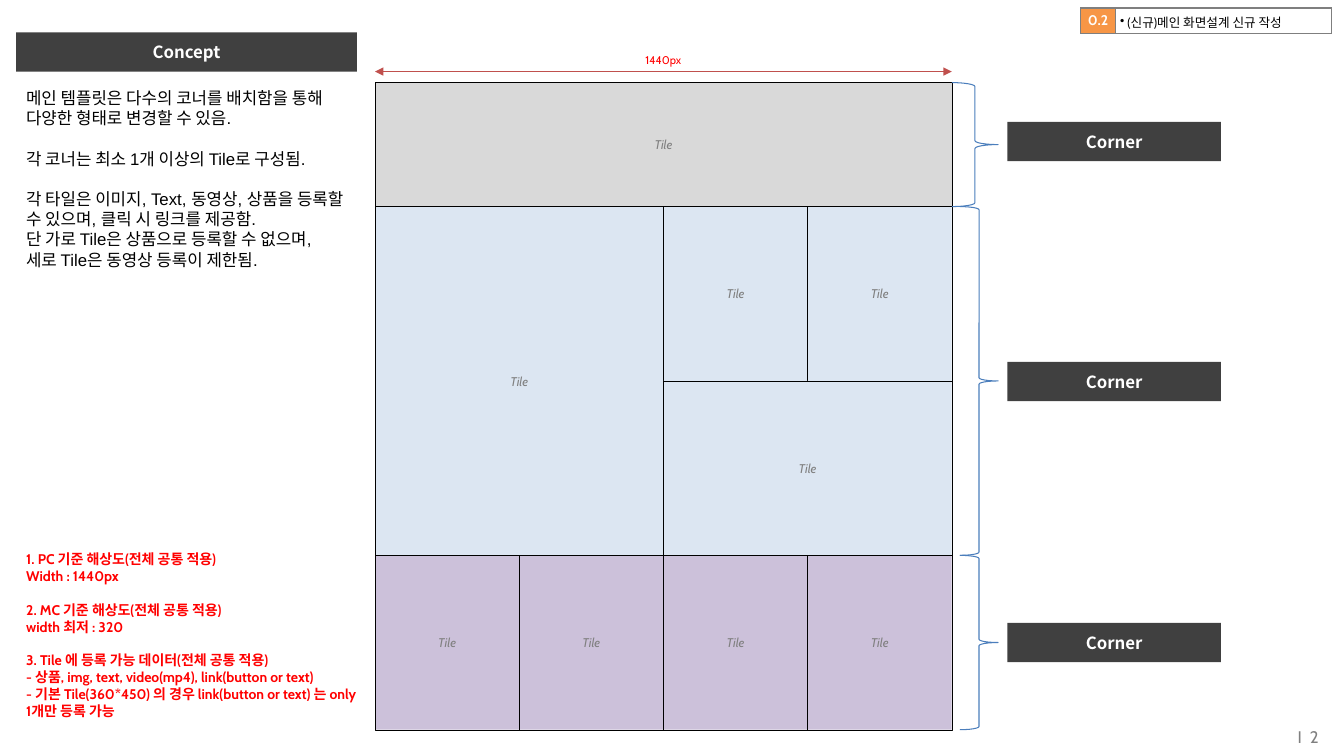
from dataclasses import dataclass

import pptx
import pptx.dml.color
import pptx.enum.shapes
import pptx.enum.text
import pptx.oxml
import pptx.oxml.ns
import pptx.util
from pptx.dml.color import RGBColor
from pptx.enum.shapes import MSO_SHAPE
from pptx.enum.text import MSO_ANCHOR, PP_ALIGN
from pptx.util import Inches

BLACK = RGBColor(0x00, 0x00, 0x00)
WHITE = RGBColor(0xFF, 0xFF, 0xFF)
RED = RGBColor(0xFF, 0x00, 0x00)
GRAY = RGBColor(0x80, 0x80, 0x80)
DARK = RGBColor(0x40, 0x40, 0x40)
LIGHT_GRAY = RGBColor(0xD9, 0xD9, 0xD9)
LIGHT_BLUE = RGBColor(0xDC, 0xE6, 0xF2)
LILAC = RGBColor(0xCC, 0xC1, 0xDA)
BRACE_BLUE = RGBColor(0x4B, 0x7E, 0xBC)
ARROW_RED = RGBColor(0xC0, 0x50, 0x4D)
ORANGE = RGBColor(0xF7, 0x96, 0x46)
BORDER = "7F7F7F"

GRID_LEFT = 3.72
COLUMN = 1.43
ROW_TOPS = [0.82, 2.05, 3.78, 5.51, 7.24]
GRID_RIGHT = GRID_LEFT + 4 * COLUMN
BRACE_RIGHT = 9.9
LABEL_HEIGHT = 0.39


@dataclass(frozen=True)
class Style:
    size: float
    color: RGBColor
    font: str = "Cabin"
    bold: bool = False
    italic: bool = False
    align: PP_ALIGN = PP_ALIGN.LEFT


@dataclass(frozen=True)
class Tile:
    column: int
    row: int
    columns: int
    rows: int
    fill: RGBColor


@dataclass(frozen=True)
class Corner:
    first_row: int
    last_row: int
    brace_left: float
    label_top: float


@dataclass(frozen=True)
class Note:
    left: float
    top: float
    width: float
    height: float
    lines: list[str]
    style: Style
    anchor: MSO_ANCHOR = MSO_ANCHOR.MIDDLE
    margins: tuple[float, float] = (0.04, 0.04)
    wrap: bool = True
    grow: bool = False
    gap: float = 0
    gap_before: tuple[int, ...] = ()


LABEL_STYLE = Style(12, WHITE, "Noto Sans CJK KR", bold=True, align=PP_ALIGN.CENTER)
TILE_STYLE = Style(9, GRAY, italic=True, align=PP_ALIGN.CENTER)

TILES = [
    Tile(0, 0, 4, 1, LIGHT_GRAY),
    Tile(0, 1, 2, 2, LIGHT_BLUE),
    Tile(2, 1, 1, 1, LIGHT_BLUE),
    Tile(3, 1, 1, 1, LIGHT_BLUE),
    Tile(2, 2, 2, 1, LIGHT_BLUE),
    *(Tile(column, 3, 1, 1, LILAC) for column in range(4)),
]

CORNERS = [
    Corner(0, 1, 9.44, 1.21),
    Corner(1, 3, 9.52, 3.59),
    Corner(3, 4, 9.52, 6.18),
]

NOTES = [
    Note(0.16, 0.82, 3.38, 2.19, [
        "메인 템플릿은 다수의 코너를 배치함을 통해 다양한 형태로 변경할 수 있음.",
        "각 코너는 최소 1개 이상의 Tile로 구성됨.",
        "각 타일은 이미지, Text, 동영상, 상품을 등록할 수 있으며, 클릭 시 링크를 제공함.",
        "단 가로 Tile은 상품으로 등록할 수 없으며,",
        "세로 Tile은 동영상 등록이 제한됨.",
    ], Style(12, BLACK, "Arial"), MSO_ANCHOR.TOP, (0.1, 0.05), gap=14.5, gap_before=(1, 2)),
    Note(0.22, 5.42, 3.38, 1.76, [
        "1. PC 기준 해상도(전체 공통 적용)",
        "Width : 1440px",
        "2. MC 기준 해상도(전체 공통 적용)",
        "width 최저 : 320",
        "3. Tile 에 등록 가능 데이터(전체 공통 적용)",
        "- 상품, img, text, video(mp4), link(button or text)",
        "- 기본 Tile(360*450) 의 경우 link(button or text) 는 only 1개만 등록 가능",
    ], Style(10, RED, bold=True), grow=True, gap=12, gap_before=(2, 4)),
    Note(6.36, 0.49, 0.44, 0.21, ["1440px"], Style(8, RED, align=PP_ALIGN.CENTER),
         wrap=False, grow=True),
]


def write(frame, lines: list[str], style: Style) -> None:
    frame.text = "\n".join(lines)
    for paragraph in frame.paragraphs:
        paragraph.alignment = style.align
        for run in paragraph.runs:
            run.font.name = style.font
            run.font.size = pptx.util.Pt(style.size)
            run.font.bold = style.bold
            run.font.italic = style.italic
            run.font.color.rgb = style.color


def set_margins(target, horizontal: float, vertical: float) -> None:
    target.margin_left = target.margin_right = Inches(horizontal)
    target.margin_top = target.margin_bottom = Inches(vertical)


def add_box(slide, left: float, top: float, width: float, height: float,
            fill: RGBColor, text: str, style: Style, outlined: bool = False):
    shape = slide.shapes.add_shape(MSO_SHAPE.RECTANGLE, Inches(left), Inches(top),
                                   Inches(width), Inches(height))
    shape.shadow.inherit = False
    shape.fill.solid()
    shape.fill.fore_color.rgb = fill
    if outlined:
        shape.line.color.rgb = BLACK
        shape.line.width = pptx.util.Pt(0.25)
    else:
        shape.line.fill.background()
    set_margins(shape.text_frame, 0.04, 0.04)
    shape.text_frame.vertical_anchor = MSO_ANCHOR.MIDDLE
    write(shape.text_frame, [text], style)


def add_tile(slide, tile: Tile) -> None:
    top = ROW_TOPS[tile.row]
    add_box(slide, GRID_LEFT + tile.column * COLUMN, top, tile.columns * COLUMN,
            ROW_TOPS[tile.row + tile.rows] - top, tile.fill, "Tile", TILE_STYLE, True)


def add_corner(slide, corner: Corner) -> None:
    top = ROW_TOPS[corner.first_row]
    brace = slide.shapes.add_shape(
        MSO_SHAPE.RIGHT_BRACE, Inches(corner.brace_left), Inches(top),
        Inches(BRACE_RIGHT - corner.brace_left), Inches(ROW_TOPS[corner.last_row] - top))
    brace.shadow.inherit = False
    brace.fill.background()
    brace.line.color.rgb = BRACE_BLUE
    brace.line.width = pptx.util.Pt(0.75)
    add_box(slide, 9.99, corner.label_top, 2.12, LABEL_HEIGHT, DARK, "Corner", LABEL_STYLE)


def add_note(slide, note: Note):
    box = slide.shapes.add_textbox(Inches(note.left), Inches(note.top),
                                   Inches(note.width), Inches(note.height))
    frame = box.text_frame
    frame.word_wrap = note.wrap
    frame.vertical_anchor = note.anchor
    set_margins(frame, *note.margins)
    if note.grow:
        frame.auto_size = pptx.enum.text.MSO_AUTO_SIZE.SHAPE_TO_FIT_TEXT
    write(frame, note.lines, note.style)
    for index in note.gap_before:
        frame.paragraphs[index].space_before = pptx.util.Pt(note.gap)
    return box


def add_element(parent, tag: str, **attributes: str):
    element = pptx.oxml.parse_xml(f"<{tag} {pptx.oxml.ns.nsdecls('a')}/>")
    for name, value in attributes.items():
        element.set(name, value)
    parent.append(element)
    return element


def add_width_arrow(slide) -> None:
    arrow = slide.shapes.add_connector(pptx.enum.shapes.MSO_CONNECTOR.STRAIGHT, Inches(GRID_LEFT),
                                       Inches(0.71), Inches(GRID_RIGHT), Inches(0.71))
    arrow.line.color.rgb = ARROW_RED
    arrow.line.width = pptx.util.Pt(0.25)
    line = arrow.line._get_or_add_ln()
    for tag in ("a:headEnd", "a:tailEnd"):
        add_element(line, tag, type="triangle")
    add_element(arrow._element.spPr, "a:effectLst")


def add_version_table(slide) -> None:
    table = slide.shapes.add_table(1, 2, Inches(10.72), Inches(0.08),
                                   Inches(2.49), Inches(0.24)).table
    table.first_row = table.horz_banding = False
    version, change = table.cell(0, 0), table.cell(0, 1)
    for column, width in zip(table.columns, (0.34, 2.15)):
        column.width = Inches(width)
    for cell, fill, margin in ((version, ORANGE, 0), (change, WHITE, 0.05)):
        properties = cell._tc.get_or_add_tcPr()
        for side in "LRTB":
            border = add_element(properties, f"a:ln{side}", w="12700")
            add_element(add_element(border, "a:solidFill"), "a:srgbClr", val=BORDER)
        cell.fill.solid()
        cell.fill.fore_color.rgb = fill
        set_margins(cell, margin, margin)
    version.vertical_anchor = MSO_ANCHOR.MIDDLE
    write(version.text_frame, ["0.2"], Style(10, WHITE, bold=True, align=PP_ALIGN.CENTER))
    write(change.text_frame, [" (신규)메인 화면설계 신규 작성"], Style(9, BLACK))
    add_element(change.text_frame.paragraphs[0]._p.get_or_add_pPr(), "a:buChar", char="•")


def main() -> None:
    presentation = pptx.Presentation()
    presentation.slide_width = Inches(13.33)
    presentation.slide_height = Inches(7.5)
    slide = presentation.slides.add_slide(presentation.slide_layouts[6])
    page_number = add_note(slide, Note(11.15, 7.11, 1.93, 0.39, ["I 2"], Style(
        12, GRAY, align=PP_ALIGN.RIGHT), margins=(0, 0)))
    page_number.text_frame.paragraphs[0].runs[0].font._element.set("spc", "150")
    add_box(slide, 0.16, 0.32, 3.38, LABEL_HEIGHT, DARK, "Concept", LABEL_STYLE)
    for tile in TILES:
        add_tile(slide, tile)
    for corner in CORNERS:
        add_corner(slide, corner)
    for note in NOTES:
        add_note(slide, note)
    add_width_arrow(slide)
    add_version_table(slide)
    presentation.save("out.pptx")


if __name__ == "__main__":
    main()
